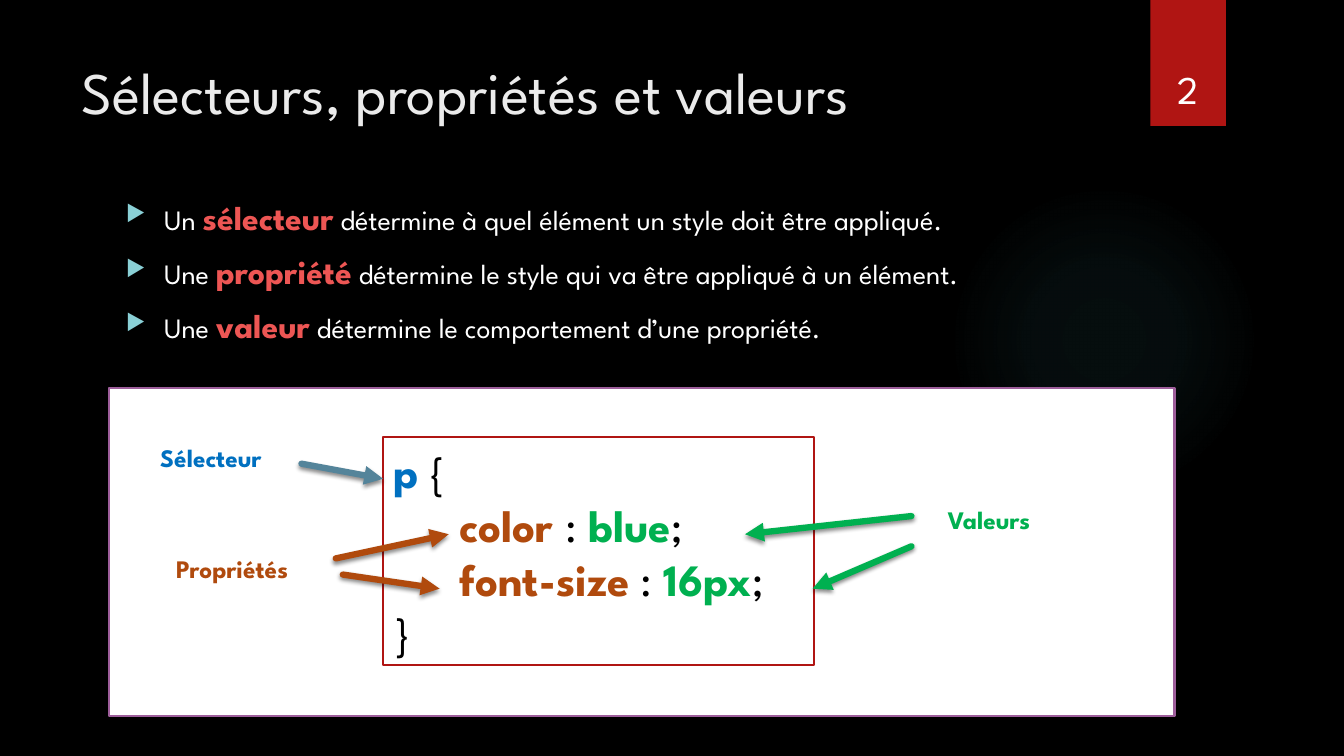
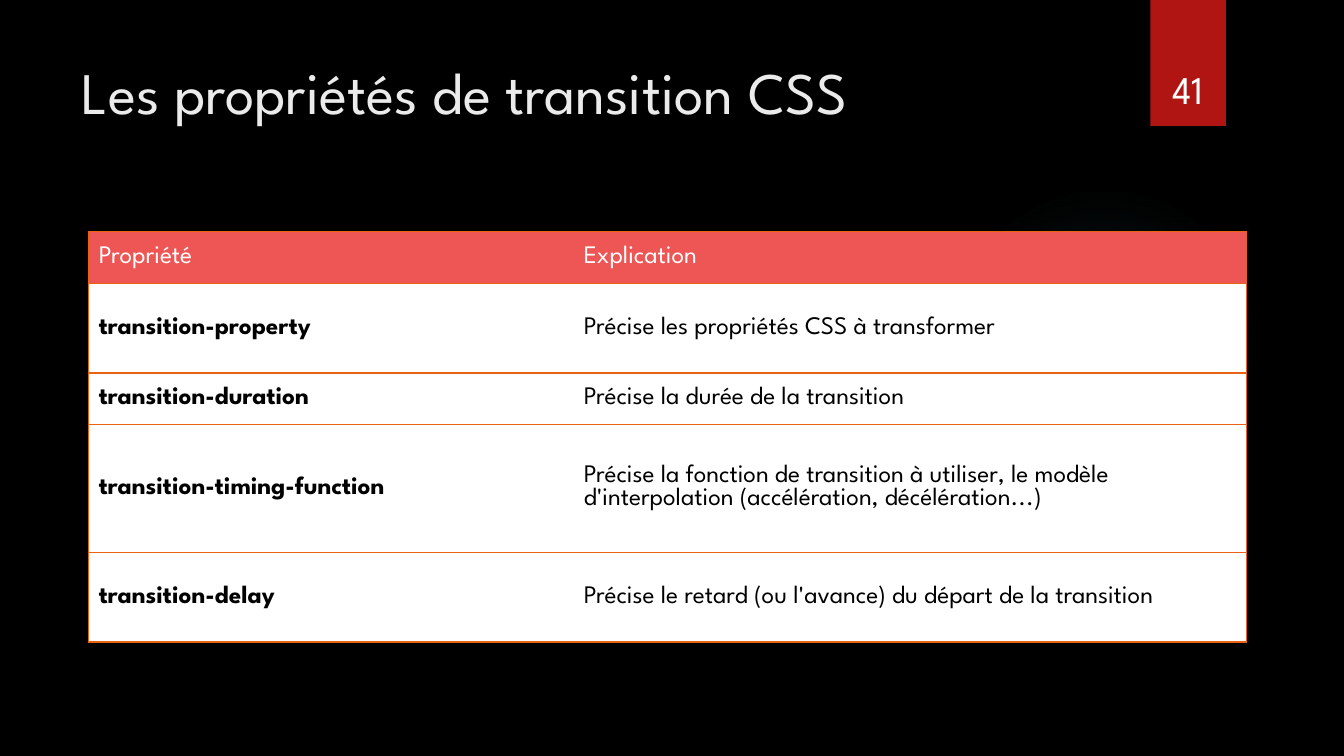
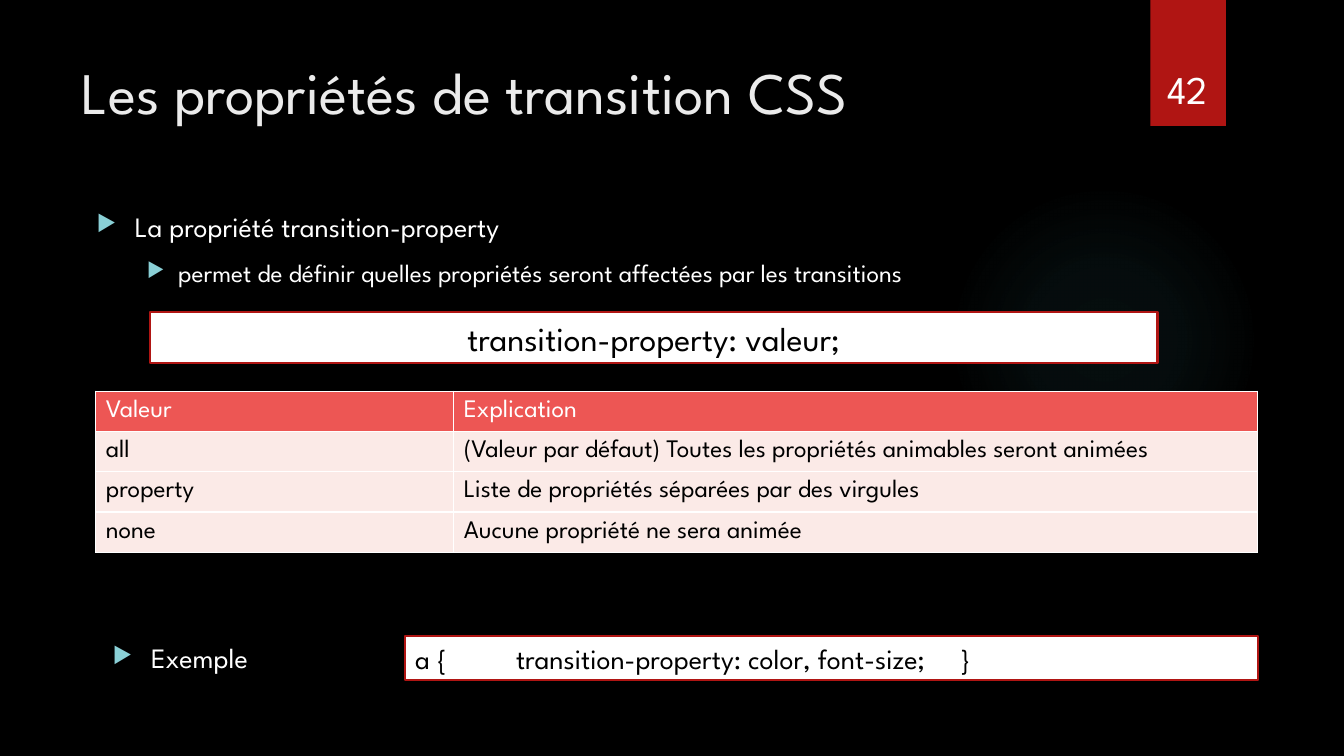
from pptx import Presentation
from pptx.dml.color import RGBColor
from pptx.enum.shapes import MSO_CONNECTOR, MSO_SHAPE
from pptx.enum.text import MSO_ANCHOR, MSO_AUTO_SIZE, PP_ALIGN
from pptx.oxml import parse_xml
from pptx.oxml.ns import nsdecls, qn
from pptx.util import Inches, Pt

# Shared look
FONT, BULLET_FONT = "League Spartan", "OpenSymbol"
BLACK, WHITE, TITLE = "000000", "FFFFFF", "EBEBEB"
RED, CORAL, PINK, ORANGE = "B01513", "ED5654", "FBEAE7", "EA6312"
BLUE, BROWN, GREEN, STEEL = "0070C0", "B04A0D", "00B050", "54849A"
PURPLE, BULLET, GLOW = "9E5E9B", "8AD0D6", "50B9C1"
BULLET_LEVELS = [(0.38, -0.38), (0.81, -0.31)]
NO_TABLE_STYLE = "{2D5ABB26-0587-4C30-8999-92F81FD0307C}"


def rgb(value):
    return RGBColor.from_string(value)


def xml(tag, body="", attrs=""):
    return parse_xml(f"<a:{tag} {nsdecls('a')} {attrs}>{body}</a:{tag}>")


def solid(color):
    return f'<a:solidFill><a:srgbClr val="{color}"/></a:solidFill>'


def box(at):
    return [Inches(v) for v in at]


# Text
def set_attrs(obj, values):
    for name, value in values.items():
        setattr(obj, name, value)


def add_run(p, text, size, color, bold=False):
    r = p.add_run()
    r.text = text
    set_attrs(r.font, {"name": FONT, "size": Pt(size), "bold": bold})
    r.font.color.rgb = rgb(color)


def fill_text(tf, paragraphs, anchor=MSO_ANCHOR.TOP, **para_format):
    """Each paragraph is a list of (text, size, colour[, bold]) runs."""
    set_attrs(tf, {"word_wrap": True, "auto_size": MSO_AUTO_SIZE.NONE,
                   "vertical_anchor": anchor})
    for i, runs in enumerate(paragraphs):
        p = tf.paragraphs[0] if i == 0 else tf.add_paragraph()
        set_attrs(p, {"alignment": PP_ALIGN.LEFT, **para_format})
        for run in runs:
            add_run(p, *run)


def add_text(slide, at, paragraphs, **options):
    tf = slide.shapes.add_textbox(*box(at)).text_frame
    fill_text(tf, paragraphs, **options)
    return tf


def set_indent(p, left, first=0):
    pPr = p._p.get_or_add_pPr()
    pPr.set("marL", str(Inches(left)))
    pPr.set("indent", str(Inches(first)))
    return pPr


def add_bullets(slide, at, paragraphs, levels=None):
    tf = add_text(slide, at, paragraphs, space_before=Pt(10))
    for p, level in zip(tf.paragraphs, levels or [0] * len(paragraphs)):
        pPr = set_indent(p, *BULLET_LEVELS[level])
        pPr.append(xml("buClr", f'<a:srgbClr val="{BULLET}"/>'))
        pPr.append(xml("buSzPct", attrs='val="80000"'))
        pPr.append(xml("buFont", attrs=f'typeface="{BULLET_FONT}"'))
        pPr.append(xml("buChar", attrs='char="▶"'))


# Shapes and arrows
def add_panel(slide, at, fill=None, line=None, shape=MSO_SHAPE.RECTANGLE):
    sp = slide.shapes.add_shape(shape, *box(at))
    sp.shadow.inherit = False
    if fill:
        sp.fill.solid()
        sp.fill.fore_color.rgb = rgb(fill)
    else:
        sp.fill.background()
    if line:
        sp.line.color.rgb = rgb(line)
        sp.line.width = Pt(1.5)
    else:
        sp.line.fill.background()
    return sp


def add_shadow(sp):
    spPr = sp.element.spPr
    for old in spPr.findall(qn("a:effectLst")):
        spPr.remove(old)
    spPr.append(xml(
        "effectLst",
        f'<a:outerShdw blurRad="{Pt(3)}" dist="{Pt(2)}" dir="5400000" rotWithShape="0">'
        '<a:srgbClr val="000000"><a:alpha val="45000"/></a:srgbClr></a:outerShdw>'))


def add_arrow(slide, start, end, color):
    cn = slide.shapes.add_connector(MSO_CONNECTOR.STRAIGHT, *box(start + end))
    cn.line.color.rgb = rgb(color)
    cn.line.width = Pt(4.5)
    ln = cn.element.spPr.find(qn("a:ln"))
    ln.set("cap", "rnd")
    ln.append(xml("tailEnd", attrs='type="triangle"'))
    add_shadow(cn)


def add_glow(slide):
    sp = add_panel(slide, (9.41, 1.83, 3.08, 3.08), shape=MSO_SHAPE.OVAL)
    stops = "".join(
        f'<a:gs pos="{pos}000"><a:srgbClr val="{GLOW}">'
        f'<a:alpha val="{alpha}000"/></a:srgbClr></a:gs>'
        for pos, alpha in [(0, 7), (36, 6), (69, 0)])
    center = '<a:fillToRect l="50000" t="50000" r="50000" b="50000"/>'
    spPr = sp.element.spPr
    spPr.replace(spPr.find(qn("a:noFill")), xml(
        "gradFill", f'<a:gsLst>{stops}</a:gsLst><a:path path="circle">{center}</a:path>'))


# Tables
def set_borders(cell, color, sides):
    tcPr = cell._tc.get_or_add_tcPr()
    for i, side in enumerate(s for s in "LRTB" if s in sides):
        tcPr.insert(i, xml(f"ln{side}", solid(color), f'w="{Pt(1)}"'))


def add_table(slide, at, cols, heights, rows, body_fill, border,
              inner_lines=True, bold_first=False):
    shape = slide.shapes.add_table(len(rows), len(cols), *box(at))
    tbl = shape.table
    tbl._tbl.tblPr.find(qn("a:tableStyleId")).text = NO_TABLE_STYLE
    tbl.horz_banding = False
    for col, width in zip(tbl.columns, cols):
        col.width = Inches(width)
    for row, height in zip(tbl.rows, heights):
        row.height = Inches(height)
    for i, row in enumerate(rows):
        for j, text in enumerate(row):
            cell = tbl.cell(i, j)
            cell.fill.solid()
            cell.fill.fore_color.rgb = rgb(body_fill if i else CORAL)
            cell.vertical_anchor = MSO_ANCHOR.MIDDLE
            add_run(cell.text_frame.paragraphs[0], text, 18,
                    BLACK if i else WHITE, bold_first and i > 0 and j == 0)
            sides = "LRTB" if inner_lines else "LTB" if j == 0 else "RTB"
            set_borders(cell, border, sides)


def add_slide(prs, title, number):
    slide = prs.slides.add_slide(prs.slide_layouts[5])
    add_glow(slide)
    add_shadow(add_panel(slide, (11.41, 0, 0.75, 1.25), RED))
    holder = slide.shapes.title
    holder.left, holder.top, holder.width, holder.height = box((0.71, 0.5, 10.29, 1.53))
    fill_text(holder.text_frame, [[(title, 42, TITLE)]])
    add_text(slide, (11.32, 0.32, 0.92, 0.84), [[(str(number), 28, WHITE)]],
             anchor=MSO_ANCHOR.BOTTOM, alignment=PP_ALIGN.CENTER)
    return slide


# Slides
def selectors_slide(prs):
    slide = add_slide(prs, "Sélecteurs, propriétés et valeurs", 2)
    definitions = [
        ("Un ", "sélecteur", " détermine à quel élément un style doit être appliqué."),
        ("Une ", "propriété", " détermine le style qui va être appliqué à un élément."),
        ("Une ", "valeur", " détermine le comportement d’une propriété."),
    ]
    add_bullets(slide, (1.15, 1.9, 11.13, 1.78), [
        [(article, 20, WHITE), (term, 24, CORAL, True), (rest, 20, WHITE)]
        for article, term, rest in definitions])

    # Annotated rule
    add_panel(slide, (1.08, 3.85, 10.57, 3.25), WHITE, PURPLE)
    code = add_panel(slide, (3.8, 4.34, 4.27, 2.26), WHITE, RED).text_frame
    declarations = [("color ", ": ", "blue"), ("font-size", " : ", "16px")]
    fill_text(code, [
        [("p", 32, BLUE, True), (" {", 32, BLACK)],
        *[[(name, 32, BROWN, True), (colon, 32, BLACK),
           (value, 32, GREEN, True), (";", 32, BLACK)]
          for name, colon, value in declarations],
        [("}", 32, BLACK)],
    ], anchor=MSO_ANCHOR.MIDDLE)
    for p in code.paragraphs[1:3]:
        set_indent(p, 0.66)

    for text, at, color in [
        ("Sélecteur", (1.49, 4.34, 1.35, 0.4), BLUE),
        ("Propriétés", (1.65, 5.44, 1.6, 0.4), BROWN),
        ("Valeurs", (9.3, 4.95, 1.6, 0.4), GREEN),
    ]:
        add_text(slide, at, [[(text, 18, color, True)]])
    for start, end, color in [
        ((2.99, 4.6), (3.8, 4.75), STEEL),
        ((3.4, 5.7), (4.36, 5.84), BROWN),
        ((3.33, 5.54), (4.45, 5.3), BROWN),
        ((9.04, 5.12), (7.39, 5.3), GREEN),
        ((9.04, 5.42), (8.06, 5.84), GREEN),
    ]:
        add_arrow(slide, start, end, color)


def transitions_slide(prs):
    slide = add_slide(prs, "Les propriétés de transition CSS", 41)
    add_table(slide, (0.88, 2.3, 11.48, 4.07), [4.81, 6.67],
              [0.51, 0.89, 0.51, 1.27, 0.89], [
        ("Propriété", "Explication"),
        ("transition-property", "Précise les propriétés CSS à transformer"),
        ("transition-duration", "Précise la durée de la transition"),
        ("transition-timing-function",
         "Précise la fonction de transition à utiliser, le modèle "
         "d'interpolation (accélération, décélération...)"),
        ("transition-delay", "Précise le retard (ou l'avance) du départ de la transition"),
    ], WHITE, ORANGE, inner_lines=False, bold_first=True)


def transition_property_slide(prs):
    slide = add_slide(prs, "Les propriétés de transition CSS", 42)
    add_bullets(slide, (0.86, 2.03, 10.93, 1.73), [
        [("La propriété transition-property", 20, WHITE)],
        [("permet de définir quelles propriétés seront affectées par les transitions",
          18, WHITE)],
    ], levels=[0, 1])
    syntax = add_panel(slide, (1.49, 3.1, 9.99, 0.5), WHITE, RED)
    fill_text(syntax.text_frame, [[("transition-property: valeur;", 24, BLACK)]],
              anchor=MSO_ANCHOR.MIDDLE, alignment=PP_ALIGN.CENTER)
    add_table(slide, (0.95, 3.88, 11.52, 1.6), [3.55, 7.97], [0.4] * 4, [
        ("Valeur", "Explication"),
        ("all", "(Valeur par défaut) Toutes les propriétés animables seront animées"),
        ("property", "Liste de propriétés séparées par des virgules"),
        ("none", "Aucune propriété ne sera animée"),
    ], PINK, WHITE)

    # Example
    add_bullets(slide, (1.02, 6.31, 2.46, 0.44), [[("Exemple", 20, WHITE)]])
    example = add_panel(slide, (4.02, 6.31, 8.46, 0.44), WHITE, RED).text_frame
    fill_text(example, [[("a {\ttransition-property: color, font-size;\t}", 20, BLACK)]],
              anchor=MSO_ANCHOR.MIDDLE)
    tabs = "".join(f'<a:tab pos="{Inches(pos)}" algn="l"/>' for pos in (1, 5.4))
    example.paragraphs[0]._p.get_or_add_pPr().append(xml("tabLst", tabs))


def main():
    prs = Presentation()
    prs.slide_width, prs.slide_height = Inches(13.33), Inches(7.5)
    background = prs.slide_master.background.fill
    background.solid()
    background.fore_color.rgb = rgb(BLACK)
    selectors_slide(prs)
    transitions_slide(prs)
    transition_property_slide(prs)
    prs.save("out.pptx")


if __name__ == "__main__":
    main()
